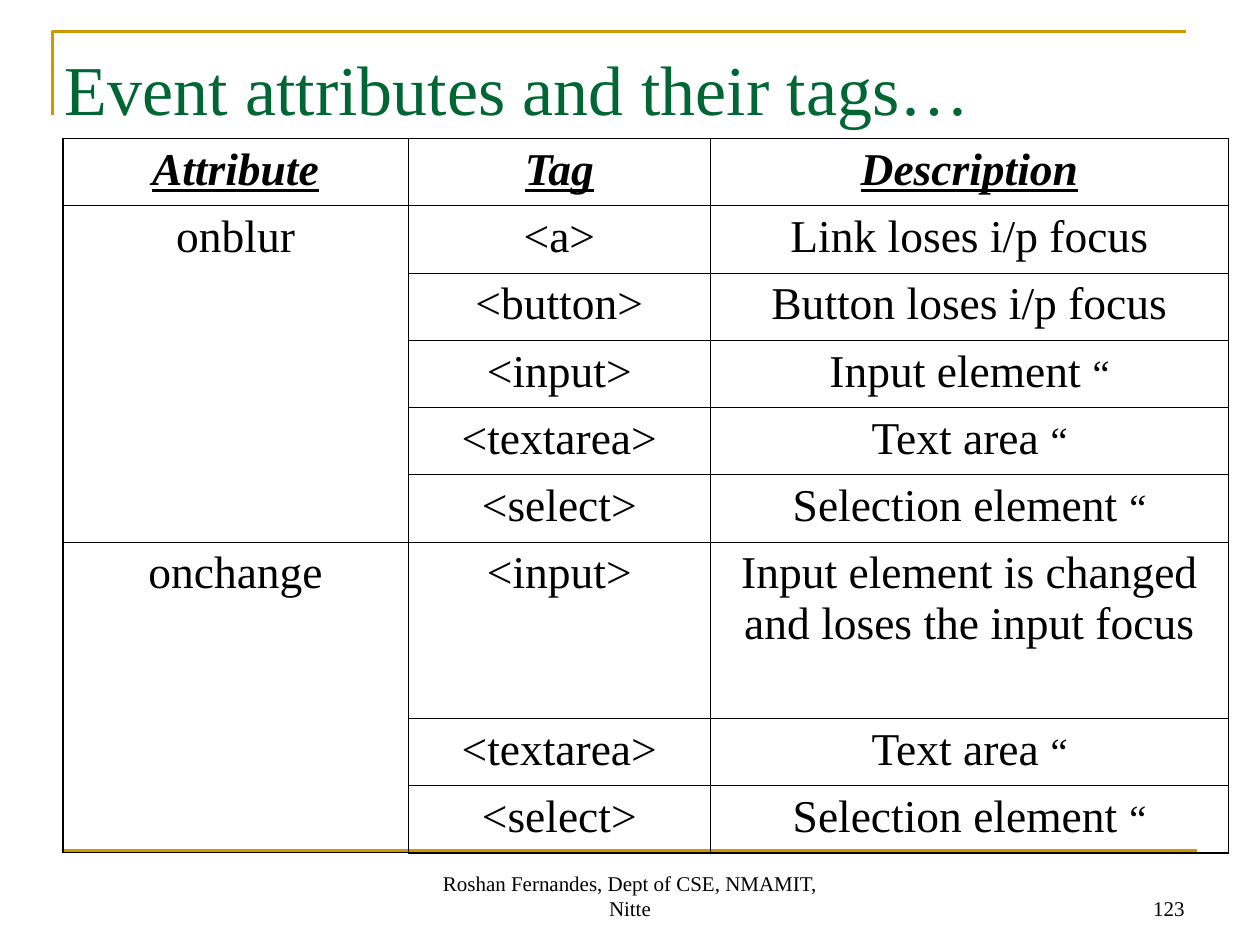
"""Build the slide that lists event attributes, their tags and descriptions."""
from dataclasses import dataclass

from lxml import etree
from pptx import Presentation
from pptx import util as u
from pptx.dml import color
from pptx.enum import text
from pptx.oxml import ns

FONT = "Times New Roman"
GOLD = color.RGBColor(0xCC, 0x99, 0x00)
GREEN = color.RGBColor(0x00, 0x66, 0x33)
BLACK = color.RGBColor(0x00, 0x00, 0x00)
THIN, THICK = 0.45, 1.08
LINE_W = 1.5
DITTO = "“"
ROW_H, TALL_ROW_H = 38.35, 100.8
TALL_ROW = 6
COLS = (197.28, 172.8, 295.92)


@dataclass
class Label:
    words: str
    left: float
    top: float
    width: float
    height: float
    size: float
    colour: color.RGBColor
    align: text.PP_ALIGN
    anchor: text.MSO_ANCHOR
    inset_top: float = 3.6


@dataclass
class Event:
    name: str
    tags: tuple[tuple[str, str], ...]


LABELS = (
    Label("123", 516, 492, 168, 37.5, 12, BLACK,
          text.PP_ALIGN.RIGHT, text.MSO_ANCHOR.BOTTOM),
    Label("Roshan Fernandes, Dept of CSE, NMAMIT, Nitte", 246, 492, 228, 37.5, 12, BLACK,
          text.PP_ALIGN.CENTER, text.MSO_ANCHOR.BOTTOM),
    Label("Event attributes and their tags…", 30, 18, 648, 42, 40, GREEN,
          text.PP_ALIGN.LEFT, text.MSO_ANCHOR.TOP, 8),
)
HEADINGS = ("Attribute", "Tag", "Description")
EVENTS = (
    Event("onblur", (
        ("<a>", "Link loses i/p focus"),
        ("<button>", "Button loses i/p focus"),
        ("<input>", "Input element “"),
        ("<textarea>", "Text area “"),
        ("<select>", "Selection element “"),
    )),
    Event("onchange", (
        ("<input>", "Input element is changed and loses the input focus"),
        ("<textarea>", "Text area “"),
        ("<select>", "Selection element “"),
    )),
)


def draw_rules(s) -> None:
    ff = s.shapes.build_freeform(30, 66, scale=u.Pt(1))
    ff.add_line_segments([(30, 18), (678, 18)], close=False)
    corner = ff.convert_to_shape()
    corner.shadow.inherit = False
    corner.fill.background()
    base = s.shapes.add_connector(1, u.Pt(36), u.Pt(486), u.Pt(684), u.Pt(486))
    etree.SubElement(base._element.spPr, ns.qn("a:effectLst"))
    for sp in (corner, base):
        sp.line.color.rgb = GOLD
        sp.line.width = u.Pt(LINE_W)


def draw_label(s, label: Label) -> None:
    sp = s.shapes.add_textbox(u.Pt(label.left), u.Pt(label.top),
                              u.Pt(label.width), u.Pt(label.height))
    tf = sp.text_frame
    tf.word_wrap = True
    tf.vertical_anchor = label.anchor
    tf.margin_top = u.Pt(label.inset_top)
    p = tf.paragraphs[0]
    p.text = label.words
    p.alignment = label.align
    p.font.name, p.font.size = FONT, u.Pt(label.size)
    p.font.color.rgb = label.colour


def set_border(cell, side: str, width: float) -> None:
    ln = etree.SubElement(cell._tc.get_or_add_tcPr(), ns.qn(f"a:ln{side}"),
                          w=str(u.Pt(width)))
    fill = etree.SubElement(ln, ns.qn("a:solidFill"))
    etree.SubElement(fill, ns.qn("a:srgbClr"), val=str(BLACK))


def write_cell(cell, words: str, heading: bool = False) -> None:
    p = cell.text_frame.paragraphs[0]
    p.alignment = text.PP_ALIGN.CENTER
    p.space_before = u.Pt(5.5 if words.endswith(DITTO) else 6.5)
    p.font.name, p.font.size = FONT, u.Pt(26)
    p.font.color.rgb = BLACK
    p.font.bold = p.font.italic = p.font.underline = heading
    for part in words.partition(DITTO):
        if part:
            r = p.add_run()
            r.text = part
            r.font.name, r.font.size = FONT, u.Pt(22 if part == DITTO else 26)


def draw_table(s) -> None:
    n_rows = 1 + sum(len(event.tags) for event in EVENTS)
    height = ROW_H * (n_rows - 1) + TALL_ROW_H
    frame = s.shapes.add_table(n_rows, len(COLS), u.Pt(36), u.Pt(79.2),
                               u.Pt(sum(COLS)), u.Pt(height))
    table = frame.table
    table.first_row = table.horz_banding = False
    for col, width in zip(table.columns, COLS):
        col.width = u.Pt(width)
    for i, row in enumerate(table.rows):
        row.height = u.Pt(TALL_ROW_H if i == TALL_ROW else ROW_H)
        for j, cell in enumerate(row.cells):
            outer = {"L": j == 0, "R": j == len(COLS) - 1,
                     "T": i == 0, "B": i == n_rows - 1}
            for side, is_outer in outer.items():
                set_border(cell, side, THICK if is_outer else THIN)
            cell.fill.background()
    for j, heading in enumerate(HEADINGS):
        write_cell(table.cell(0, j), heading, heading=True)
    top = 1
    for event in EVENTS:
        last = top + len(event.tags) - 1
        table.cell(top, 0).merge(table.cell(last, 0))
        write_cell(table.cell(top, 0), event.name)
        for i, (tag, description) in enumerate(event.tags, top):
            write_cell(table.cell(i, 1), tag)
            write_cell(table.cell(i, 2), description)
        top = last + 1


def main() -> None:
    prs = Presentation()
    prs.slide_width, prs.slide_height = u.Pt(720), u.Pt(540)
    s = prs.slides.add_slide(prs.slide_layouts[6])
    draw_rules(s)
    for label in LABELS:
        draw_label(s, label)
    draw_table(s)
    prs.save("out.pptx")


if __name__ == "__main__":
    main()
